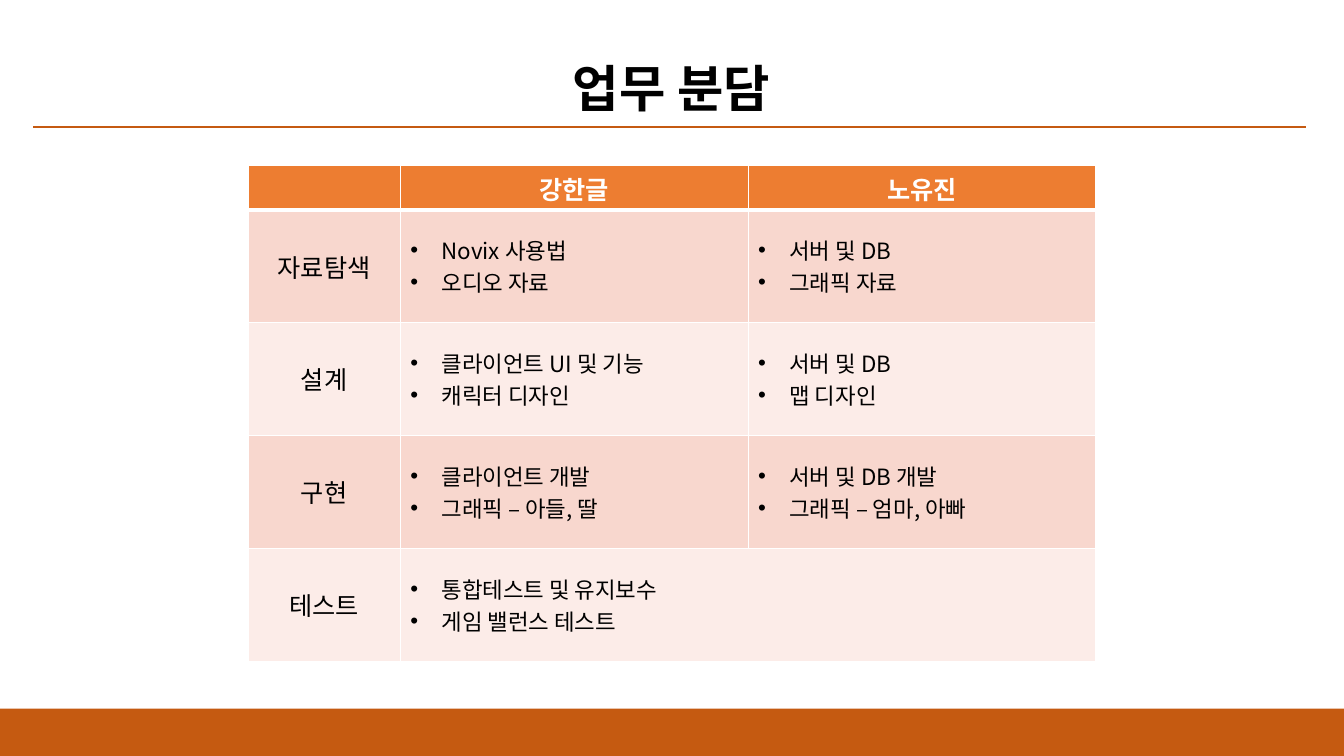
from lxml.etree import SubElement
from pptx import Presentation
from pptx.dml.color import RGBColor
from pptx.enum.shapes import MSO_CONNECTOR, MSO_SHAPE
from pptx.enum.text import MSO_ANCHOR, PP_ALIGN
from pptx.oxml import parse_xml
from pptx.oxml.ns import nsdecls, qn
from pptx.util import Inches, Pt

FONT = "Noto Sans CJK KR"
BLACK = RGBColor(0x00, 0x00, 0x00)
WHITE = RGBColor(0xFF, 0xFF, 0xFF)
RUST = RGBColor(0xC5, 0x5A, 0x11)
ORANGE = RGBColor(0xED, 0x7D, 0x31)
BANDS = (RGBColor(0xF8, 0xD7, 0xCE), RGBColor(0xFC, 0xEC, 0xE8))

MEMBERS = ["", "강한글", "노유진"]
# Each phase with the task list of each member; the last list is shared
PHASES = [
    ("자료탐색", ["Novix 사용법", "오디오 자료"], ["서버 및 DB", "그래픽 자료"]),
    ("설계", ["클라이언트 UI 및 기능", "캐릭터 디자인"], ["서버 및 DB", "맵 디자인"]),
    ("구현", ["클라이언트 개발", "그래픽 – 아들, 딸"], ["서버 및 DB 개발", "그래픽 – 엄마, 아빠"]),
    ("테스트", ["통합테스트 및 유지보수", "게임 밸런스 테스트"]),
]
COLUMN_WIDTHS = [1.51, 3.45, 3.45]
HEADER_HEIGHT, PHASE_HEIGHT = 0.44, 1.12


def write_text(frame, lines, size=18, color=BLACK, bold=False, bullets=False):
    """Fill a text frame: bulleted lines run left, other lines are centred."""
    for index, line in enumerate(lines):
        paragraph = frame.add_paragraph() if index else frame.paragraphs[0]
        paragraph.alignment = PP_ALIGN.LEFT if bullets else PP_ALIGN.CENTER
        if bullets:
            properties = paragraph._p.get_or_add_pPr()
            properties.set("marL", str(Inches(0.31)))
            properties.set("indent", str(-Inches(0.31)))
            SubElement(properties, qn("a:buFont"), typeface="Arial")
            SubElement(properties, qn("a:buChar"), char="•")
        run = paragraph.add_run()
        run.text = line
        run.font.name = FONT
        run.font.size = Pt(size)
        run.font.bold = bold
        run.font.color.rgb = color
        SubElement(run._r.get_or_add_rPr(), qn("a:ea"), typeface=FONT)


def style_cell(cell, fill, top=1, bottom=1):
    """Set the fill and the white borders, with widths in points."""
    cell.fill.solid()
    cell.fill.fore_color.rgb = fill
    cell.vertical_anchor = MSO_ANCHOR.MIDDLE
    sides = {"L": 1, "R": 1, "T": top, "B": bottom}
    for place, (side, width) in enumerate(sides.items()):
        border = parse_xml(
            f'<a:ln{side} {nsdecls("a")} w="{Pt(width)}"><a:solidFill>'
            f'<a:srgbClr val="{WHITE}"/></a:solidFill></a:ln{side}>')
        cell._tc.get_or_add_tcPr().insert(place, border)


def add_title(slide, text):
    box = slide.shapes.add_textbox(Inches(5.46), Inches(0.52), Inches(2.4), Inches(0.71))
    box.text_frame.word_wrap = False
    write_text(box.text_frame, [text], size=36, bold=True)


def add_title_rule(slide):
    rule = slide.shapes.add_connector(
        MSO_CONNECTOR.STRAIGHT, Inches(0.33), Inches(1.26), Inches(12.95), Inches(1.26))
    rule.line.color.rgb = RUST
    rule.line.width = Pt(1.5)
    SubElement(rule._element.spPr, qn("a:effectLst"))


def add_footer_band(slide):
    band = slide.shapes.add_shape(
        MSO_SHAPE.RECTANGLE, Inches(0), Inches(7.03), Inches(13.33), Inches(0.47))
    band.shadow.inherit = False
    band.fill.solid()
    band.fill.fore_color.rgb = RUST
    band.line.fill.background()


def add_task_table(slide):
    height = HEADER_HEIGHT + PHASE_HEIGHT * len(PHASES)
    table = slide.shapes.add_table(
        len(PHASES) + 1, len(MEMBERS), Inches(2.46), Inches(1.64),
        Inches(sum(COLUMN_WIDTHS)), Inches(height)).table
    for column, width in zip(table.columns, COLUMN_WIDTHS):
        column.width = Inches(width)

    # Header with the members' names
    table.rows[0].height = Inches(HEADER_HEIGHT)
    for index, member in enumerate(MEMBERS):
        cell = table.cell(0, index)
        style_cell(cell, ORANGE, bottom=3)
        if member:
            write_text(cell.text_frame, [member], color=WHITE, bold=True)

    # One row for each phase
    for row, (phase, *task_lists) in enumerate(PHASES, start=1):
        table.rows[row].height = Inches(PHASE_HEIGHT)
        for index in range(len(MEMBERS)):
            style_cell(table.cell(row, index), BANDS[(row - 1) % 2], top=3 if row == 1 else 1)
        write_text(table.cell(row, 0).text_frame, [phase])
        for index, tasks in enumerate(task_lists, start=1):
            write_text(table.cell(row, index).text_frame, tasks, size=16, bullets=True)
        if len(task_lists) == 1:
            table.cell(row, 1).merge(table.cell(row, 2))


def main():
    deck = Presentation()
    deck.slide_width, deck.slide_height = Inches(13.33), Inches(7.5)
    slide = deck.slides.add_slide(deck.slide_layouts[6])
    add_title(slide, "업무 분담")
    add_footer_band(slide)
    add_title_rule(slide)
    add_task_table(slide)
    deck.save("out.pptx")


if __name__ == "__main__":
    main()
